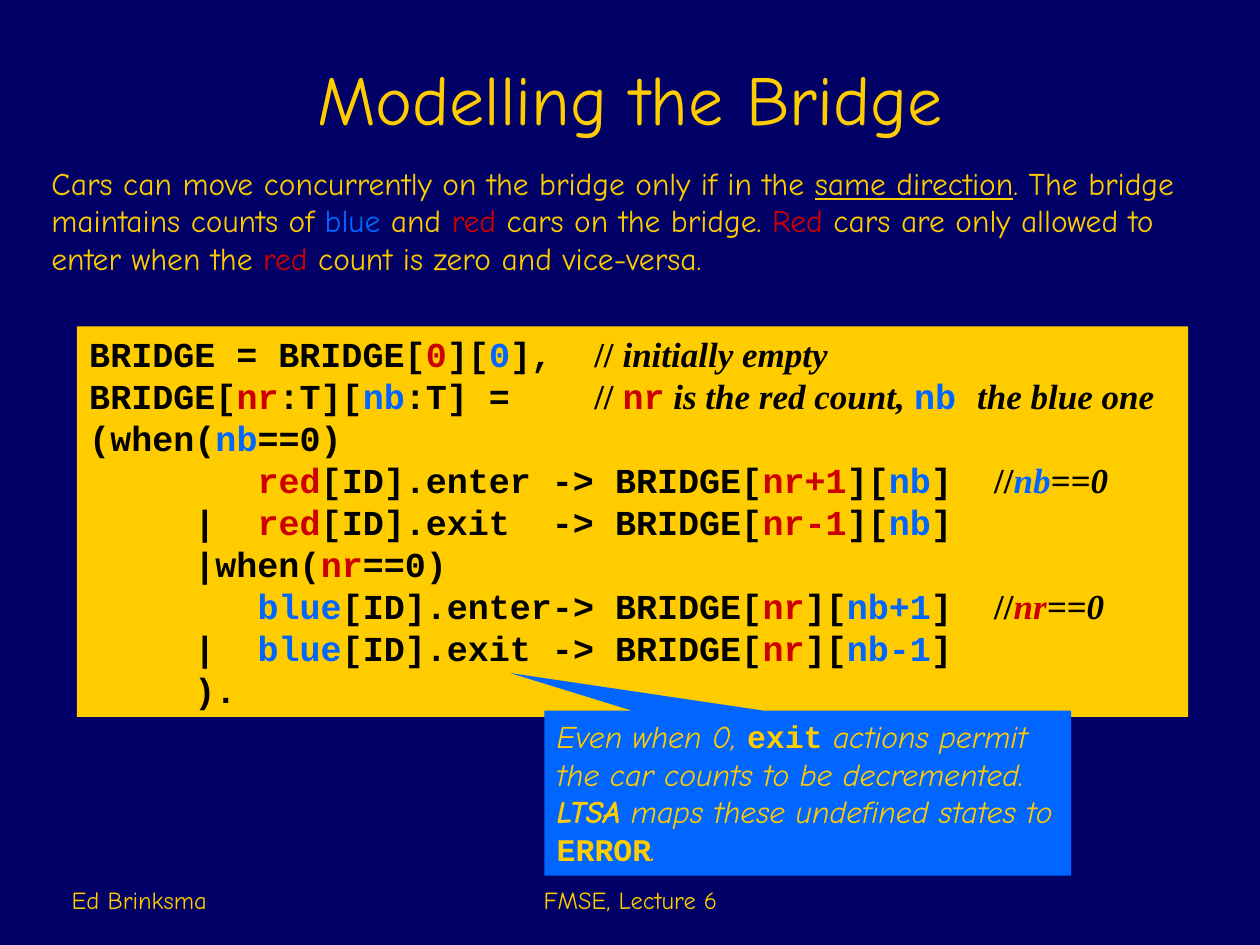
from pptx import Presentation
from pptx.dml.color import RGBColor
from pptx.enum.shapes import MSO_SHAPE
from pptx.enum.text import MSO_ANCHOR, MSO_AUTO_SIZE, PP_ALIGN
from pptx.util import Inches, Pt

RECT = MSO_SHAPE.RECTANGLE
CALLOUT = MSO_SHAPE.RECTANGULAR_CALLOUT
TOP, BOTTOM = MSO_ANCHOR.TOP, MSO_ANCHOR.BOTTOM
LEFT, CENTER = PP_ALIGN.LEFT, PP_ALIGN.CENTER
NO_FIT = MSO_AUTO_SIZE.NONE

NAVY, GOLD, RED, BLUE, BLACK = "000066", "FFCC00", "CC0000", "0066FF", "000000"
COMIC, MONO, SERIF = "Comic Neue", "Courier New", "Times New Roman"

# Base formats of the text blocks
PROSE = {"name": COMIC, "color": GOLD, "size": Pt(18)}
HEAD = PROSE | {"size": Pt(40)}
FOOT = PROSE | {"size": Pt(14)}
NOTE = PROSE | {"italic": True}
CODE = {"name": MONO, "color": BLACK, "size": Pt(20), "bold": True}

# Changes to the base format of a single run
PLAIN = {}
R, B = {"color": RED}, {"color": BLUE}
UNDER = {"underline": True}
SLASH = {"name": SERIF}
REMARK = {"name": SERIF, "italic": True}
TERM = {"name": MONO, "italic": False, "bold": True}

INTRO = [[
    ("Cars can move concurrently on the bridge only if in the ", PLAIN),
    ("same direction", UNDER),
    (". The bridge maintains counts of ", PLAIN), ("blue", B),
    (" and ", PLAIN), ("red", R),
    (" cars on the bridge. ", PLAIN), ("Red", R),
    (" cars are only allowed to enter when the ", PLAIN), ("red", R),
    (" count is zero and vice-versa.", PLAIN),
]]

HINT = [[
    ("Even when 0, ", PLAIN), ("exit", TERM),
    (" actions permit the car counts to be decremented. ", PLAIN),
    ("LTSA", {"bold": True}),
    (" maps these undefined states to ", PLAIN), ("ERROR", TERM),
    (".", PLAIN),
]]


def move(lead, car, tint, step, nr, nb):
    """Runs of one code line in which a car enters or leaves."""
    return [(lead, PLAIN), (car, tint), (f"[ID].{step} BRIDGE[", PLAIN),
            (nr, R), ("][", PLAIN), (nb, B), ("]", PLAIN)]


def guard(name, tint):
    """Runs of the comment that repeats a guard."""
    return [("  ", PLAIN), ("//", SLASH), (name, REMARK | tint),
            ("==0", REMARK)]


MODEL = [
    [("BRIDGE = BRIDGE[", PLAIN), ("0", R), ("][", PLAIN), ("0", B),
     ("],  ", PLAIN), ("// ", SLASH), ("initially empty", REMARK)],
    [("BRIDGE[", PLAIN), ("nr", R), (":T][", PLAIN), ("nb", B),
     (":T] =    ", PLAIN), ("// ", SLASH), ("nr", R),
     (" is the red count, ", REMARK), ("nb ", B), ("the blue one", REMARK)],
    [("(when(", PLAIN), ("nb", B), ("==0)", PLAIN)],
    move("        ", "red", R, "enter ->", "nr+1", "nb") + guard("nb", B),
    move("     |  ", "red", R, "exit  ->", "nr-1", "nb"),
    [("     |when(", PLAIN), ("nr", R), ("==0)", PLAIN)],
    move("        ", "blue", B, "enter->", "nr", "nb+1") + guard("nr", R),
    move("     |  ", "blue", B, "exit ->", "nr", "nb-1"),
    [("     ).", PLAIN)],
]


def rgb(code):
    return RGBColor.from_string(code)


def style(font, form):
    for key, value in form.items():
        if key == "color":
            font.color.rgb = rgb(value)
        else:
            setattr(font, key, value)


def write(shape, lines, base, align=LEFT, anchor=TOP, pitch=None):
    """Fill a shape with paragraphs made of (text, change) runs."""
    frame = shape.text_frame
    frame.word_wrap = True
    frame.auto_size = NO_FIT
    frame.vertical_anchor = anchor
    for i, line in enumerate(lines):
        para = frame.paragraphs[0] if i == 0 else frame.add_paragraph()
        para.alignment = align
        if pitch:
            para.line_spacing = pitch
        for text, change in line:
            run = para.add_run()
            run.text = text
            style(run.font, base | change)


def place(shape, left, top, width, height):
    shape.left, shape.top = Inches(left), Inches(top)
    shape.width, shape.height = Inches(width), Inches(height)


def add_text(slide, box, lines, base, **form):
    shape = slide.shapes.add_textbox(*map(Inches, box))
    write(shape, lines, base, **form)


def add_panel(slide, kind, box, fill, lines, base, **form):
    shape = slide.shapes.add_shape(kind, *map(Inches, box))
    shape.shadow.inherit = False
    shape.fill.solid()
    shape.fill.fore_color.rgb = rgb(fill)
    shape.line.fill.background()
    write(shape, lines, base, **form)
    return shape


def main():
    deck = Presentation()
    deck.slide_width, deck.slide_height = Inches(10), Inches(7.5)
    slide = deck.slides.add_slide(deck.slide_layouts[5])
    slide.background.fill.solid()
    slide.background.fill.fore_color.rgb = rgb(NAVY)

    # Title
    title = slide.shapes.title
    place(title, 0.75, -0.09, 8.5, 1.25)
    write(title, [[("Modelling the Bridge", PLAIN)]], HEAD,
          align=CENTER, anchor=BOTTOM)

    # Process model and introduction
    add_panel(slide, RECT, (0.61, 2.59, 8.82, 3.1), GOLD, MODEL, CODE,
              pitch=Pt(24))
    add_text(slide, (0.31, 1.25, 9.39, 1), INTRO, PROSE)

    # Callout that points at the last exit action
    hint = add_panel(slide, CALLOUT, (4.32, 5.64, 4.18, 1.31), BLUE,
                     HINT, NOTE)
    hint.adjustments[0], hint.adjustments[1] = -0.565, -0.728

    # Footer
    add_text(slide, (3.42, 6.81, 3.17, 0.5), [[("FMSE, Lecture 6", PLAIN)]],
             FOOT, align=CENTER, anchor=BOTTOM)
    add_text(slide, (0.47, 6.81, 2.08, 0.5), [[("Ed Brinksma", PLAIN)]],
             FOOT, anchor=BOTTOM)

    deck.save("out.pptx")


if __name__ == "__main__":
    main()
